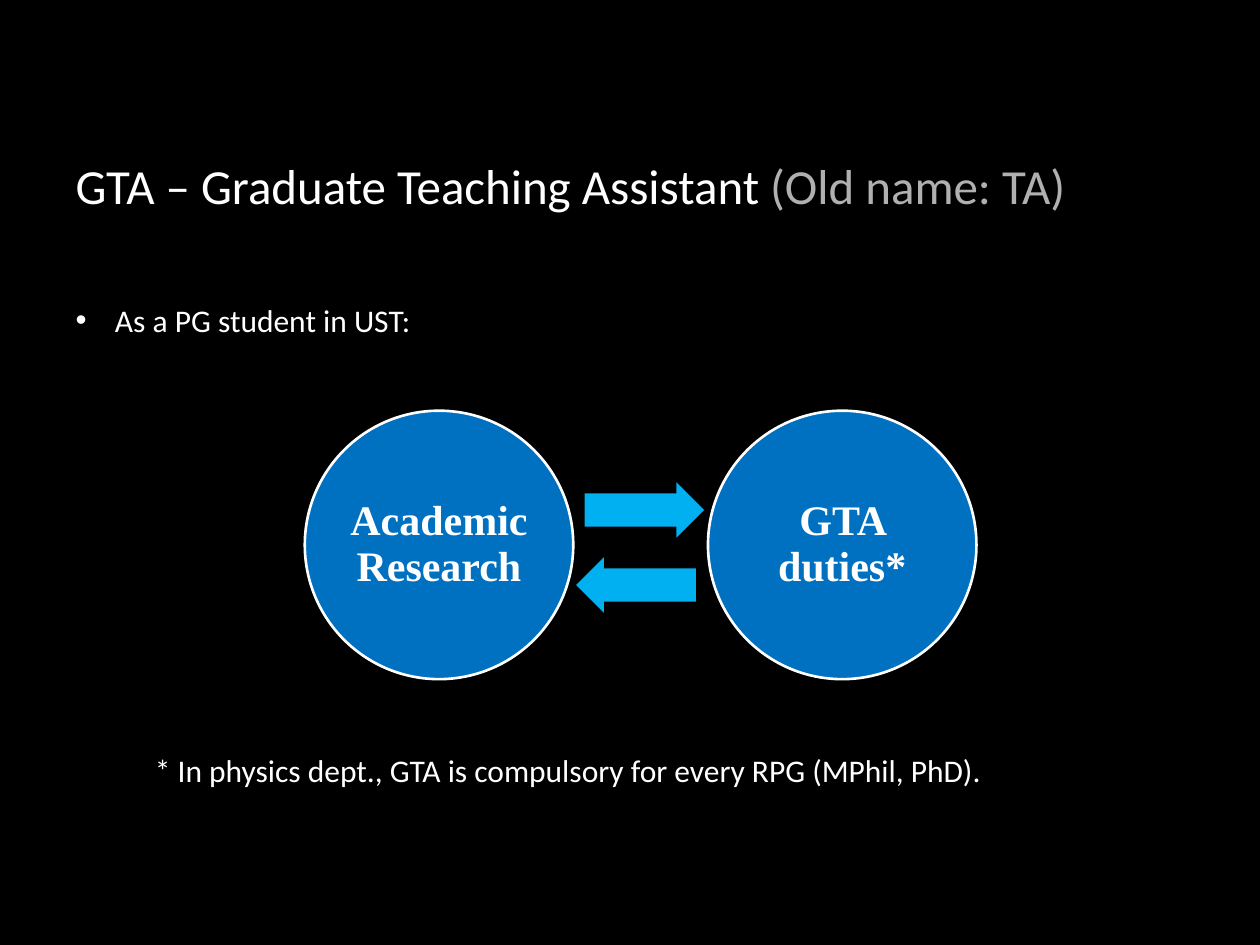
import pptx
import pptx.dml.color
import pptx.enum.shapes
import pptx.enum.text
import pptx.util

Pt = pptx.util.Pt
SHAPE = pptx.enum.shapes.MSO_SHAPE
ALIGN = pptx.enum.text.PP_ALIGN
ANCHOR = pptx.enum.text.MSO_ANCHOR

WHITE = "FFFFFF"
GREY = "B0B0B0"
CIRCLE_SIZE = 153.4
CIRCLE_LEFT, CIRCLE_TOP, CIRCLE_PITCH = 174.2, 234.7, 230.4
ARROW_SIZE = (68.4, 31.7)


def rgb(value):
    return pptx.dml.color.RGBColor.from_string(value)


def apply(target, values):
    for name, value in values.items():
        setattr(target, name, value)


def place(sp, left, top, width, height):
    apply(sp, {"left": Pt(left), "top": Pt(top),
               "width": Pt(width), "height": Pt(height)})


def add_run(p, text, size, color=WHITE, font="Calibri", bold=False):
    r = p.add_run()
    r.text = text
    apply(r.font, {"name": font, "size": Pt(size), "bold": bold})
    r.font.color.rgb = rgb(color)


def add_title(s, parts):
    sp = s.shapes.title
    place(sp, 36, 48.2, 612, 114.5)
    sp.text_frame.vertical_anchor = ANCHOR.MIDDLE
    p = sp.text_frame.paragraphs[0]
    p.alignment = ALIGN.LEFT
    for text, color in parts:
        add_run(p, text, 28, color)


def add_bullet(s, text):
    sp = s.placeholders[1]
    place(sp, 36, 168.5, 612, 287.3)
    p = sp.text_frame.paragraphs[0]
    apply(p, {"space_before": Pt(0), "space_after": Pt(10)})
    pPr = p._p.get_or_add_pPr()
    pPr.set("marL", str(Pt(22.5)))
    pPr.set("indent", str(Pt(-22.5)))
    add_run(p, text, 18)


def add_shape(s, kind, left, top, width, height, fill):
    sp = s.shapes.add_shape(kind, Pt(left), Pt(top), Pt(width), Pt(height))
    sp.shadow.inherit = False
    sp.fill.solid()
    sp.fill.fore_color.rgb = rgb(fill)
    sp.line.fill.background()
    return sp


def add_circle(s, left, text):
    sp = add_shape(s, SHAPE.OVAL, left, CIRCLE_TOP, CIRCLE_SIZE, CIRCLE_SIZE, "0070C0")
    sp.line.color.rgb = rgb(WHITE)
    sp.line.width = Pt(1.5)
    tf = sp.text_frame
    margins = ("margin_left", "margin_top", "margin_right", "margin_bottom")
    apply(tf, dict.fromkeys(margins, Pt(2.4)))
    apply(tf, {"word_wrap": True, "vertical_anchor": ANCHOR.MIDDLE})
    p = tf.paragraphs[0]
    apply(p, {"alignment": ALIGN.CENTER, "line_spacing": 0.9, "space_after": Pt(8.4)})
    add_run(p, text, 24, font="Times New Roman", bold=True)


def add_arrow(s, left, top, rotation):
    sp = add_shape(s, SHAPE.RIGHT_ARROW, left, top, *ARROW_SIZE, "00B0F0")
    sp.adjustments[0] = 0.6
    sp.adjustments[1] = 0.5
    sp.rotation = rotation


def add_footnote(s, text):
    sp = s.shapes.add_textbox(Pt(81.4), Pt(425.5), Pt(492.5), Pt(29))
    apply(sp.text_frame, {"word_wrap": False,
                          "auto_size": pptx.enum.text.MSO_AUTO_SIZE.SHAPE_TO_FIT_TEXT})
    add_run(sp.text_frame.paragraphs[0], text, 18)


def main():
    prs = pptx.Presentation()
    apply(prs, {"slide_width": Pt(720), "slide_height": Pt(540)})
    s = prs.slides.add_slide(prs.slide_layouts[1])
    s.background.fill.solid()
    s.background.fill.fore_color.rgb = rgb("000000")

    add_title(s, [("GTA – Graduate Teaching Assistant ", WHITE),
                  ("(Old name: TA)", GREY)])
    add_bullet(s, "As a PG student in UST:")
    for i, text in enumerate(["Academic Research", "GTA duties*"]):
        add_circle(s, CIRCLE_LEFT + i * CIRCLE_PITCH, text)
    for left, top, rotation in [(334, 275.6, 0), (329.2, 318.4, 180)]:
        add_arrow(s, left, top, rotation)
    add_footnote(s, "* In physics dept., GTA is compulsory for every RPG (MPhil, PhD).")
    prs.save("out.pptx")


if __name__ == "__main__":
    main()
